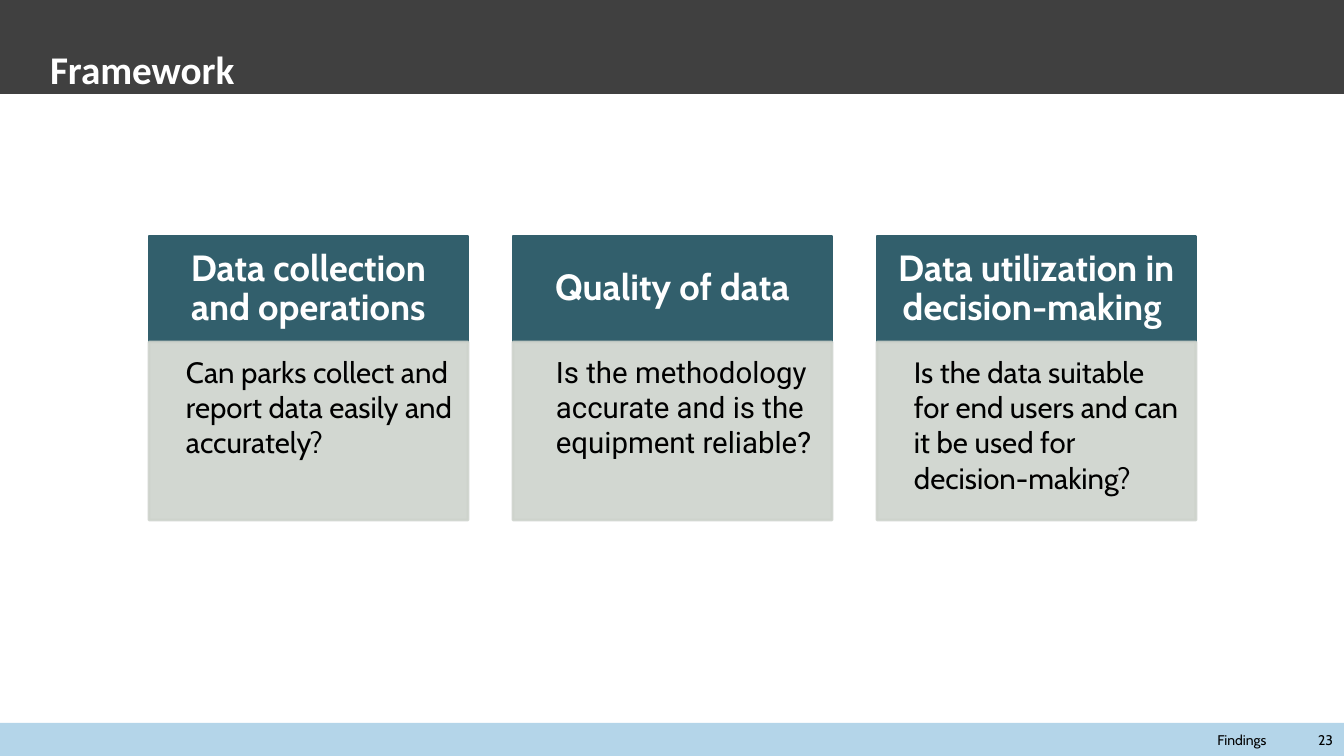
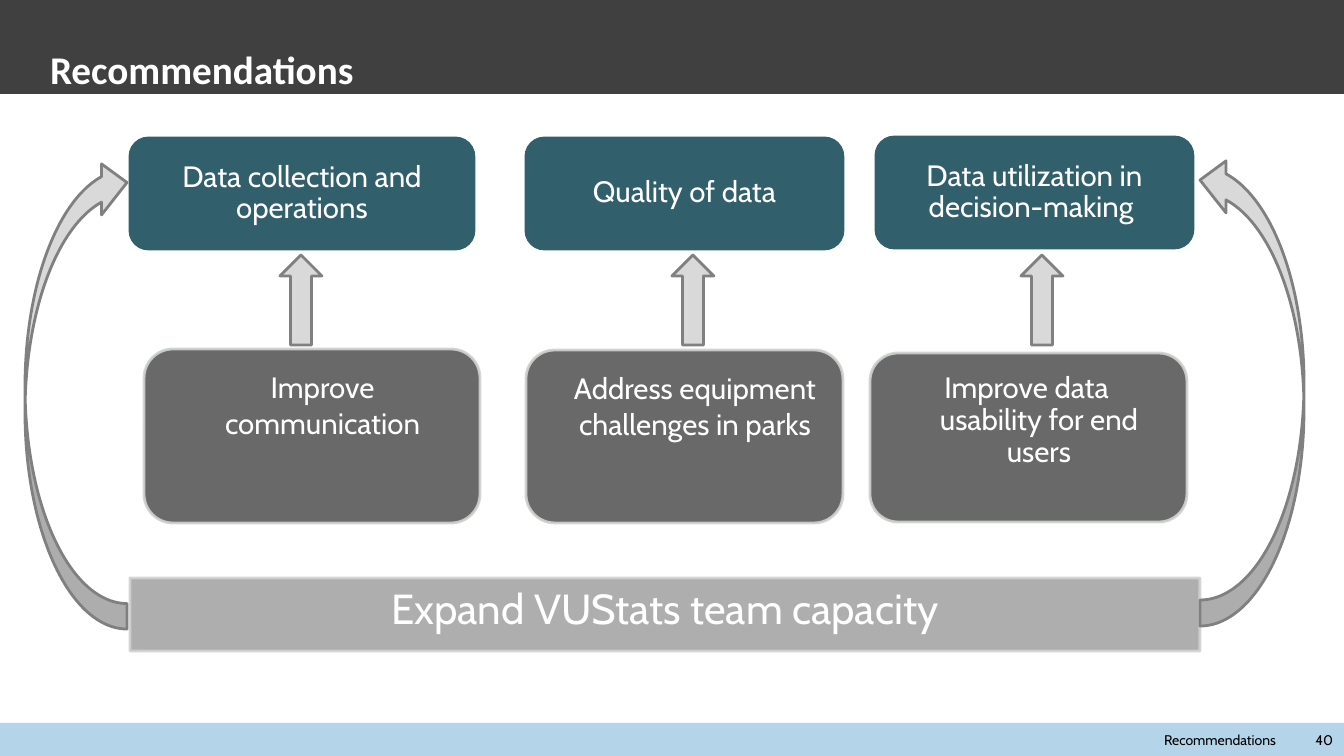
from lxml import etree
from pptx import Presentation, util as u
from pptx.dml.color import RGBColor
from pptx.enum.shapes import MSO_SHAPE as Kind
from pptx.enum.text import MSO_ANCHOR as Anchor, PP_ALIGN as Align
from pptx.oxml.ns import qn

PX = 914400 / 100.8
WIDTH, HEIGHT = 1344, 756


class Theme:
    font, title_font, alternate_font = "Cabin", "Calibri", "Roboto"
    white, black = "FFFFFF", "000000"
    band, footer = "404040", "82BADB"
    teal, sage, charcoal, silver = "325F6C", "CED3CC", "595959", "A6A6A6"
    arrow, arrow_edge = "D9D9D9", "808080"
    title_size, heading_size, body_size = 28, 26, 21
    capacity_size, footer_size = 30, 10
    line_width = 2


# Content
FRAMEWORK = [
    dict(heading="Data collection and operations",
         question="Can parks collect and report data easily and accurately?"),
    dict(heading="Quality of data",
         question="Is the methodology accurate and is the equipment reliable?",
         format=dict(font=Theme.alternate_font, margin=31)),
    dict(heading="Data utilization in decision-making ",
         question="Is the data suitable for end users and can it be used for decision-making?"),
]
# Boxes are left, top, width, height
RECOMMENDATIONS = [
    dict(goal="Data collection and operations", goal_box=(130, 138, 344, 111),
         action="Improve communication", action_box=(144, 349, 336, 174), arrow_left=280),
    dict(goal="Quality of data", goal_box=(526, 138, 317, 111),
         action="Address equipment challenges in parks", action_box=(526, 350, 317, 173),
         arrow_left=672),
    dict(goal="Data utilization in decision-making ", goal_box=(876, 137, 317, 111),
         action="Improve data usability for end users", action_box=(870, 353, 317, 169),
         arrow_left=1021, format=dict(indent=-25, spacing=0.9)),
]
CAPACITY = "Expand VUStats team capacity"
CAPACITY_BOX = (130, 578, 1070, 73)
CURVED_ARROWS = [
    (Kind.CURVED_RIGHT_ARROW, (1200, 154, 104, 472)),
    (Kind.CURVED_LEFT_ARROW, (25, 157, 102, 472)),
]
HEADING_INSETS = (20, 12, 20, 12)
GOAL_INSETS = (16, 9, 16, 9)
BODY_INSETS = (12, 12, 16, 18)


def px(length):
    return u.Emu(round(length * PX))


def paint(fill, color, opacity):
    fill.solid()
    fill.fore_color.rgb = RGBColor.from_string(color)
    if opacity < 100:
        for rgb in fill._xPr.iter(qn("a:srgbClr")):
            etree.SubElement(rgb, qn("a:alpha")).set("val", str(opacity * 1000))


def draw(slide, kind, box, color, edge=None, opacity=100, rotation=0):
    shape = slide.shapes.add_shape(kind, *map(px, box))
    shape.shadow.inherit = False
    shape.rotation = rotation
    paint(shape.fill, color, opacity)
    if edge:
        shape.line.width = u.Pt(Theme.line_width)
        paint(shape.line.fill, edge, opacity)
    else:
        shape.line.fill.background()
    return shape


def write(shape, words, size=Theme.body_size, color=Theme.white, font=Theme.font, bold=False,
          align=Align.LEFT, anchor=Anchor.TOP, insets=(10, 5, 10, 5), spacing=1.0,
          margin=0, indent=0):
    frame = shape.text_frame
    frame.word_wrap = True
    frame.vertical_anchor = anchor
    (frame.margin_left, frame.margin_top,
     frame.margin_right, frame.margin_bottom) = map(px, insets)
    paragraph = frame.paragraphs[0]
    paragraph.alignment = align
    paragraph.line_spacing = spacing
    properties = paragraph._p.get_or_add_pPr()
    properties.set("marL", str(px(margin)))
    properties.set("indent", str(px(indent)))
    run = paragraph.add_run()
    run.text = words
    run.font.name, run.font.size, run.font.bold = font, u.Pt(size), bold
    run.font.color.rgb = RGBColor.from_string(color)


def new_slide(deck, title, section, number):
    """Add a slide with the shared title band and footer."""
    slide = deck.slides.add_slide(deck.slide_layouts[6])
    draw(slide, Kind.RECTANGLE, (0, 0, WIDTH, 94), Theme.band)
    draw(slide, Kind.RECTANGLE, (0, 723, WIDTH, 33), Theme.footer, opacity=60)
    title_box = slide.shapes.add_textbox(*map(px, (50, 2, 1164, 90)))
    write(title_box, title, size=Theme.title_size, font=Theme.title_font, bold=True,
          anchor=Anchor.BOTTOM, insets=(0, 5, 10, 0))
    footer_box = slide.shapes.add_textbox(*map(px, (1030, 726, 313, 28)))
    write(footer_box, f"{section} \t{number}", size=Theme.footer_size, color=Theme.black,
          align=Align.RIGHT, anchor=Anchor.MIDDLE)
    return slide


def framework_slide(deck):
    slide = new_slide(deck, "Framework", "Findings", 23)
    left, pitch, width = 149, 364, 319
    heading_top, heading_height, question_height = 236, 106, 178
    for column, part in enumerate(FRAMEWORK):
        x = left + column * pitch
        heading = draw(slide, Kind.RECTANGLE, (x, heading_top, width, heading_height),
                       Theme.teal, Theme.teal)
        write(heading, part["heading"], size=Theme.heading_size, bold=True, align=Align.CENTER,
              anchor=Anchor.MIDDLE, insets=HEADING_INSETS, spacing=0.9)
        question = draw(slide, Kind.RECTANGLE,
                        (x, heading_top + heading_height, width, question_height),
                        Theme.sage, Theme.sage, opacity=90)
        look = dict(margin=25) | part.get("format", {})
        write(question, part["question"], color=Theme.black, insets=BODY_INSETS, **look)


def recommendations_slide(deck):
    slide = new_slide(deck, "Recommendations", "Recommendations", 40)
    # Goals, the actions below them and the arrows between
    for part in RECOMMENDATIONS:
        goal = draw(slide, Kind.FLOWCHART_ALTERNATE_PROCESS, part["goal_box"],
                    Theme.teal, Theme.teal)
        write(goal, part["goal"], align=Align.CENTER, anchor=Anchor.MIDDLE,
              insets=GOAL_INSETS, spacing=0.9)
        action = draw(slide, Kind.FLOWCHART_ALTERNATE_PROCESS, part["action_box"],
                      Theme.charcoal, Theme.sage, opacity=90)
        write(action, part["action"], align=Align.CENTER, insets=BODY_INSETS, margin=25,
              **part.get("format", {}))
        draw(slide, Kind.UP_ARROW, (part["arrow_left"], 255, 42, 90),
             Theme.arrow, Theme.arrow_edge)
    # Team capacity, feeding back to the goals
    capacity = draw(slide, Kind.RECTANGLE, CAPACITY_BOX, Theme.silver, Theme.sage, opacity=90)
    write(capacity, CAPACITY, size=Theme.capacity_size, align=Align.CENTER)
    for kind, box in CURVED_ARROWS:
        draw(slide, kind, box, Theme.arrow, Theme.arrow_edge, rotation=180)


def main():
    deck = Presentation()
    deck.slide_width, deck.slide_height = px(WIDTH), px(HEIGHT)
    framework_slide(deck)
    recommendations_slide(deck)
    deck.save("out.pptx")


if __name__ == "__main__":
    main()
